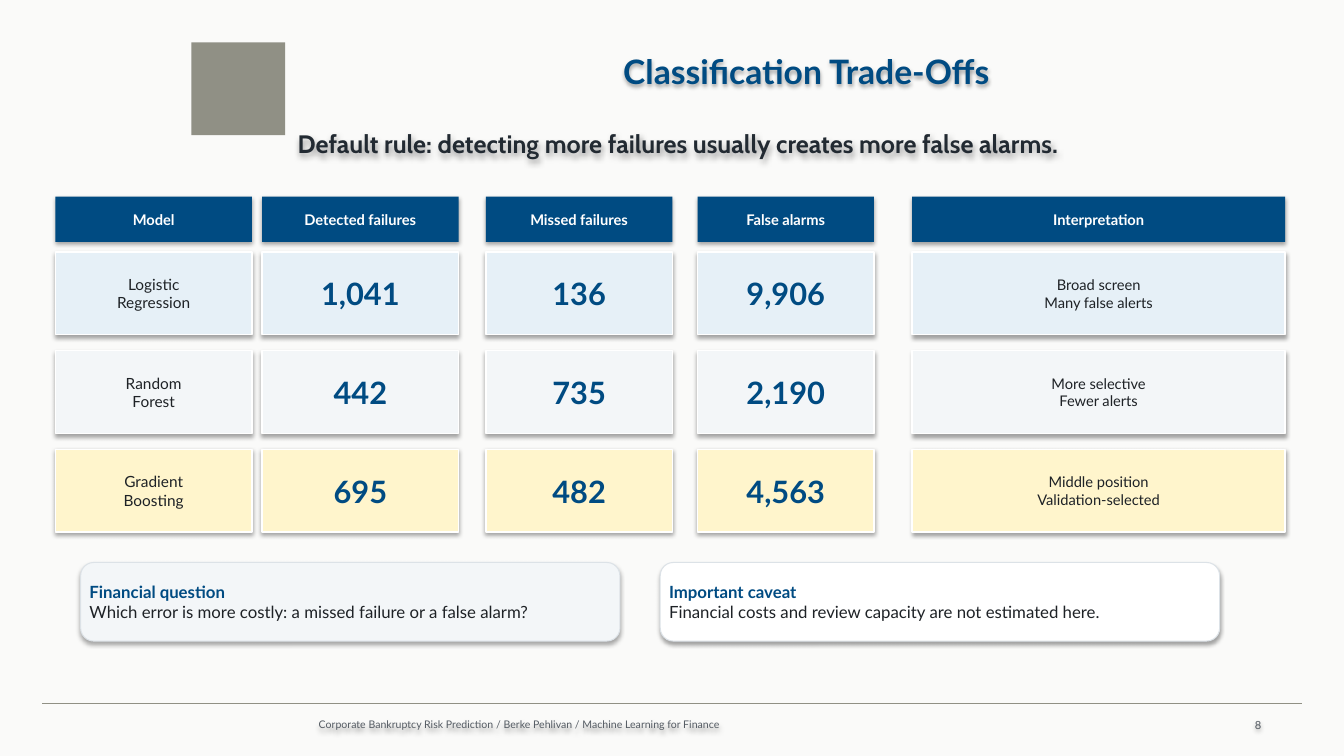
from lxml.etree import SubElement
from pptx import Presentation
from pptx.dml.color import RGBColor
from pptx.enum.shapes import MSO_CONNECTOR, MSO_SHAPE
from pptx.enum.text import MSO_ANCHOR, MSO_AUTO_SIZE, PP_ALIGN
from pptx.oxml.ns import qn
from pptx.util import Pt

BACKGROUND = RGBColor(0xFA, 0xFA, 0xF9)
BLUE = RGBColor(0x00, 0x4B, 0x82)
INK = RGBColor(0x1E, 0x22, 0x26)
DARK = RGBColor(0x22, 0x2A, 0x32)
MUTED = RGBColor(0x54, 0x5B, 0x63)
STONE = RGBColor(0x90, 0x90, 0x85)
BORDER = RGBColor(0xDC, 0xE2, 0xE7)
WHITE = RGBColor(0xFF, 0xFF, 0xFF)
PALE_BLUE = RGBColor(0xE6, 0xF0, 0xF7)
PALE_GREY = RGBColor(0xF3, 0xF6, 0xF8)
PALE_YELLOW = RGBColor(0xFF, 0xF5, 0xCC)

# Column left edges and widths, in points
COLUMNS = [(39.6, 140.4), (187.2, 140.4), (347.04, 133.2),
           (498.24, 126), (651.6, 266.4)]
HEADERS = ["Model", "Detected failures", "Missed failures",
           "False alarms", "Interpretation"]
MODELS = [
    (PALE_BLUE, ["Logistic\nRegression", "1,041", "136", "9,906",
                 "Broad screen\nMany false alerts"]),
    (PALE_GREY, ["Random\nForest", "442", "735", "2,190",
                 "More selective\nFewer alerts"]),
    (PALE_YELLOW, ["Gradient\nBoosting", "695", "482", "4,563",
                   "Middle position\nValidation-selected"]),
]
# Size, colour and weight of each column's cells
NUMBER = (22, BLUE, True)
CELL_STYLES = [(11, INK, False), NUMBER, NUMBER, NUMBER, (10.5, INK, False)]
NOTES = [
    (57.6, 385.2, PALE_GREY, "Financial question",
     "Which error is more costly: a missed failure or a false alarm?"),
    (471.6, 399.6, WHITE, "Important caveat",
     "Financial costs and review capacity are not estimated here."),
]


class SlideBuilder:
    """Holds the shared style and the slide being drawn."""

    font = "Lato"
    padding = (3.6, 3.6)
    wide_padding = (8.64, 5.76)

    def __init__(self, page):
        self.page = page
        page.background.fill.solid()
        page.background.fill.fore_color.rgb = BACKGROUND

    def shadow(self, shape):
        shape.shadow.inherit = False
        effects = shape._element.spPr.find(qn("a:effectLst"))
        outer = SubElement(effects, qn("a:outerShdw"), blurRad="40000",
                           dist="23000", dir="5400000", rotWithShape="0")
        color = SubElement(outer, qn("a:srgbClr"), val="000000")
        SubElement(color, qn("a:alpha"), val="35000")

    def set_text(self, shape, paragraphs, align, padding, font=None):
        """Each paragraph is (text, size, colour, bold)."""
        frame = shape.text_frame
        frame.word_wrap = True
        frame.auto_size = MSO_AUTO_SIZE.NONE
        frame.vertical_anchor = MSO_ANCHOR.MIDDLE
        frame.margin_left = frame.margin_right = Pt(padding[0])
        frame.margin_top = frame.margin_bottom = Pt(padding[1])
        for index, (text, size, color, bold) in enumerate(paragraphs):
            para = frame.add_paragraph() if index else frame.paragraphs[0]
            para.alignment = align
            for number, line in enumerate(text.split("\n")):
                if number:
                    para.add_line_break()
                span = para.add_run()
                span.text = line
                span.font.name = font or self.font
                span.font.size = Pt(size)
                span.font.bold = bold
                span.font.color.rgb = color

    def title(self, left, top, width, height, text):
        title = self.page.shapes.title
        title.left, title.top = Pt(left), Pt(top)
        title.width, title.height = Pt(width), Pt(height)
        self.set_text(title, [(text, 24, BLUE, True)], PP_ALIGN.CENTER,
                      self.wide_padding)
        self.shadow(title)

    def label(self, left, top, width, height, paragraph,
              align=PP_ALIGN.CENTER, padding=wide_padding, font=None):
        box = self.page.shapes.add_textbox(Pt(left), Pt(top),
                                           Pt(width), Pt(height))
        self.set_text(box, [paragraph], align, padding, font)
        self.shadow(box)

    def box(self, left, top, width, height, fill, paragraphs=(), border=None,
            border_width=1, kind=MSO_SHAPE.RECTANGLE, align=PP_ALIGN.CENTER):
        box = self.page.shapes.add_shape(kind, Pt(left), Pt(top),
                                         Pt(width), Pt(height))
        box.fill.solid()
        box.fill.fore_color.rgb = fill
        if border is None:
            box.line.fill.background()
        else:
            box.line.color.rgb = border
            box.line.width = Pt(border_width)
        box.shadow.inherit = False
        if paragraphs:
            self.shadow(box)
            self.set_text(box, paragraphs, align, self.padding)

    def rule(self, left, right, top):
        line = self.page.shapes.add_connector(
            MSO_CONNECTOR.STRAIGHT, Pt(left), Pt(top), Pt(right), Pt(top))
        line.line.color.rgb = STONE
        line.line.width = Pt(1)
        SubElement(line._element.spPr, qn("a:effectLst"))


def main():
    deck = Presentation()
    deck.slide_width, deck.slide_height = Pt(960), Pt(540)
    builder = SlideBuilder(deck.slides.add_slide(deck.slide_layouts[5]))

    # Emblem block, title and key message
    builder.box(136.8, 30.24, 66.96, 66.24, STONE)
    builder.title(270, 32.4, 612, 36, "Classification Trade-Offs")
    builder.label(75.6, 80.64, 817.2, 43.2,
                  ("Default rule: detecting more failures usually creates "
                   "more false alarms.", 18, DARK, True),
                  padding=builder.padding, font="Cabin")

    # Header cells
    for (left, width), header in zip(COLUMNS, HEADERS):
        builder.box(left, 140.4, width, 32.4, BLUE,
                    [(header, 10.5, WHITE, True)])

    # Model rows
    for row, (fill, values) in enumerate(MODELS):
        for (left, width), value, style in zip(COLUMNS, values, CELL_STYLES):
            builder.box(left, 180 + row * 70.56, width, 59.04, fill,
                        [(value, *style)], border=WHITE)

    # Notes under the grid
    for left, width, fill, heading, text in NOTES:
        builder.box(left, 401.76, width, 56.16, fill,
                    [(heading, 12, BLUE, True), (text, 12, INK, False)],
                    border=BORDER, border_width=0.75,
                    kind=MSO_SHAPE.ROUNDED_RECTANGLE, align=PP_ALIGN.LEFT)

    # Footer
    builder.rule(30.24, 930.24, 502.56)
    builder.label(54, 509.76, 633.6, 15.84,
                  ("Corporate Bankruptcy Risk Prediction / Berke Pehlivan / "
                   "Machine Learning for Finance", 7.5, MUTED, False))
    builder.label(887.76, 509.76, 21.6, 15.84, ("8", 8, MUTED, False),
                  align=PP_ALIGN.RIGHT)

    deck.save("out.pptx")


if __name__ == "__main__":
    main()
